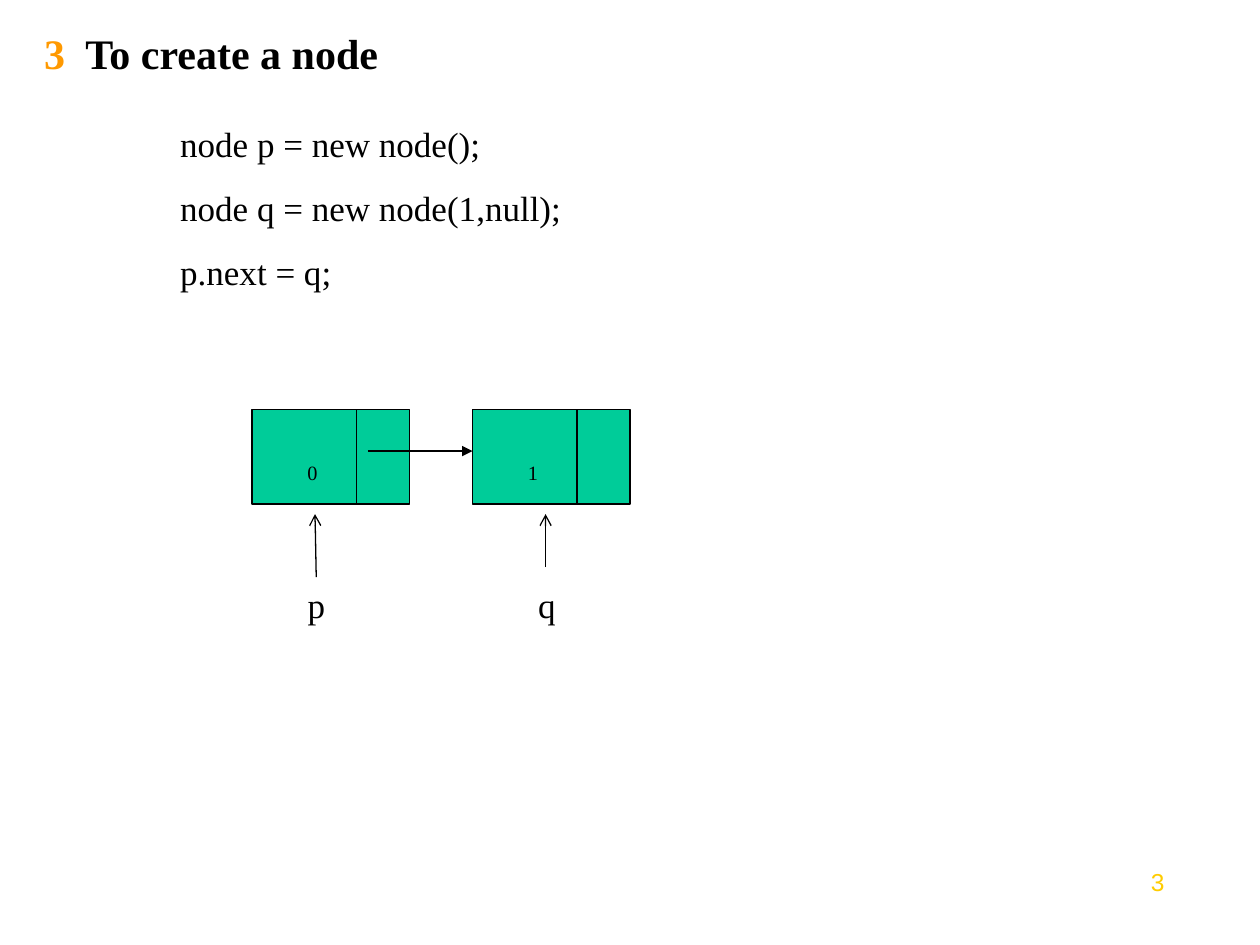
from pptx import Presentation
from pptx.dml.color import RGBColor
from pptx.enum.shapes import MSO_CONNECTOR, MSO_SHAPE
from pptx.enum.text import MSO_ANCHOR, MSO_AUTO_SIZE, PP_ALIGN
from pptx.oxml.ns import qn
from pptx.util import Inches, Pt
from lxml.etree import SubElement

THEME = {
    "black": RGBColor(0x00, 0x00, 0x00),
    "node": RGBColor(0x00, 0xCC, 0x99),
    "number": RGBColor(0xFF, 0x99, 0x00),
    "page": RGBColor(0xFF, 0xCC, 0x00),
    "line": Pt(0.75),
    "serif": "Times New Roman",
    "sans": "Arial",
    "title_size": Pt(24),
    "text_size": Pt(20),
    "page_size": Pt(14),
}
TEXT = {"name": THEME["serif"], "size": THEME["text_size"], "color": THEME["black"]}
TITLE = {**TEXT, "size": THEME["title_size"], "bold": True}
PAGE = {"name": THEME["sans"], "size": THEME["page_size"], "color": THEME["page"]}

HEADING = [("3 ", {**TITLE, "color": THEME["number"]}), (" To create a node", TITLE)]
CODE = ["node p = new node();", "node q = new node(1,null);", "p.next = q;"]
NODES = [
    {"value": "0", "pointer": "p", "label_x": 2.34, "arrow": (2.51, 4.58, 2.5, 4.08)},
    {"value": "1", "pointer": "q", "label_x": 4.17, "arrow": (4.33, 4.5, 4.33, 4.08)},
]
PAGE_NUMBER = "3"

NODE_X, NODE_Y, NODE_W, NODE_H, NODE_STEP = 2, 3.25, 1.25, 0.75, 1.75
DIVIDER_DX, VALUE_DX, LINK_DX, LINK_DY = 0.83, 0.34, 0.92, 0.33


def add_run(p, text, fmt):
    r = p.add_run()
    r.text = text
    for key, value in fmt.items():
        if key == "color":
            r.font.color.rgb = value
        else:
            setattr(r.font, key, value)
    return r


def place(sp, *box):
    for key, value in zip(("left", "top", "width", "height"), box):
        setattr(sp, key, Inches(value))


def add_label(shapes, text, box, fmt, align, wrap=False):
    tf = shapes.add_textbox(*map(Inches, box)).text_frame
    tf.word_wrap = wrap
    p = tf.paragraphs[0]
    p.alignment = align
    return add_run(p, text, fmt)


def add_line(shapes, ends, head=None):
    line = shapes.add_connector(MSO_CONNECTOR.STRAIGHT, *map(Inches, ends))
    line.line.color.rgb = THEME["black"]
    line.line.width = THEME["line"]
    if head:
        SubElement(line.line._get_or_add_ln(), qn("a:tailEnd"), type=head)
    SubElement(line._element.spPr, qn("a:effectLst"))


def add_node(shapes, x, value):
    sp = shapes.add_shape(MSO_SHAPE.RECTANGLE, *map(Inches, (x, NODE_Y, NODE_W, NODE_H)))
    sp.shadow.inherit = False
    sp.fill.solid()
    sp.fill.fore_color.rgb = THEME["node"]
    sp.line.color.rgb = THEME["black"]
    sp.line.width = THEME["line"]
    r = add_label(shapes, value, (x + VALUE_DX, 3.42, 0.28, 0.48), TEXT, PP_ALIGN.LEFT)
    r._r.get_or_add_rPr().set("baseline", "-25000")
    divider = x + DIVIDER_DX
    add_line(shapes, (divider, NODE_Y, divider, NODE_Y + NODE_H))


def main():
    prs = Presentation()
    prs.slide_width, prs.slide_height = Inches(10), Inches(7.5)
    s = prs.slides.add_slide(prs.slide_layouts[1])

    title, body = s.placeholders
    place(title, 0.17, 0.17, 8.5, 0.5)
    tf = title.text_frame
    tf.auto_size = MSO_AUTO_SIZE.NONE
    tf.vertical_anchor = MSO_ANCHOR.MIDDLE
    tf.margin_left = Inches(0.18)
    p = tf.paragraphs[0]
    p.alignment = PP_ALIGN.LEFT
    for text, fmt in HEADING:
        add_run(p, text, fmt)

    place(body, 0.33, 0.92, 8.92, 1.45)
    tf = body.text_frame
    tf.auto_size = MSO_AUTO_SIZE.NONE
    tf.margin_left = Inches(1.1)
    for i, text in enumerate(CODE):
        p = tf.add_paragraph() if i else tf.paragraphs[0]
        p.space_before = Pt(12.5)
        pPr = p._p.get_or_add_pPr()
        pPr.set("marL", "0")
        pPr.set("indent", "0")
        SubElement(pPr, qn("a:buNone"))
        add_run(p, text, TEXT)

    group = s.shapes.add_group_shape().shapes
    for i, node in enumerate(NODES):
        add_node(group, NODE_X + i * NODE_STEP, node["value"])
        add_label(s.shapes, node["pointer"], (node["label_x"], 4.58, 0.34, 0.44),
                  TEXT, PP_ALIGN.CENTER)
        add_line(s.shapes, node["arrow"], "arrow")
    link_y = NODE_Y + LINK_DY
    add_line(group, (NODE_X + LINK_DX, link_y, NODE_X + NODE_STEP, link_y), "triangle")

    add_label(s.shapes, PAGE_NUMBER, (8.67, 6.83, 0.67, 0.52), PAGE, PP_ALIGN.RIGHT, wrap=True)
    prs.save("out.pptx")


if __name__ == "__main__":
    main()
